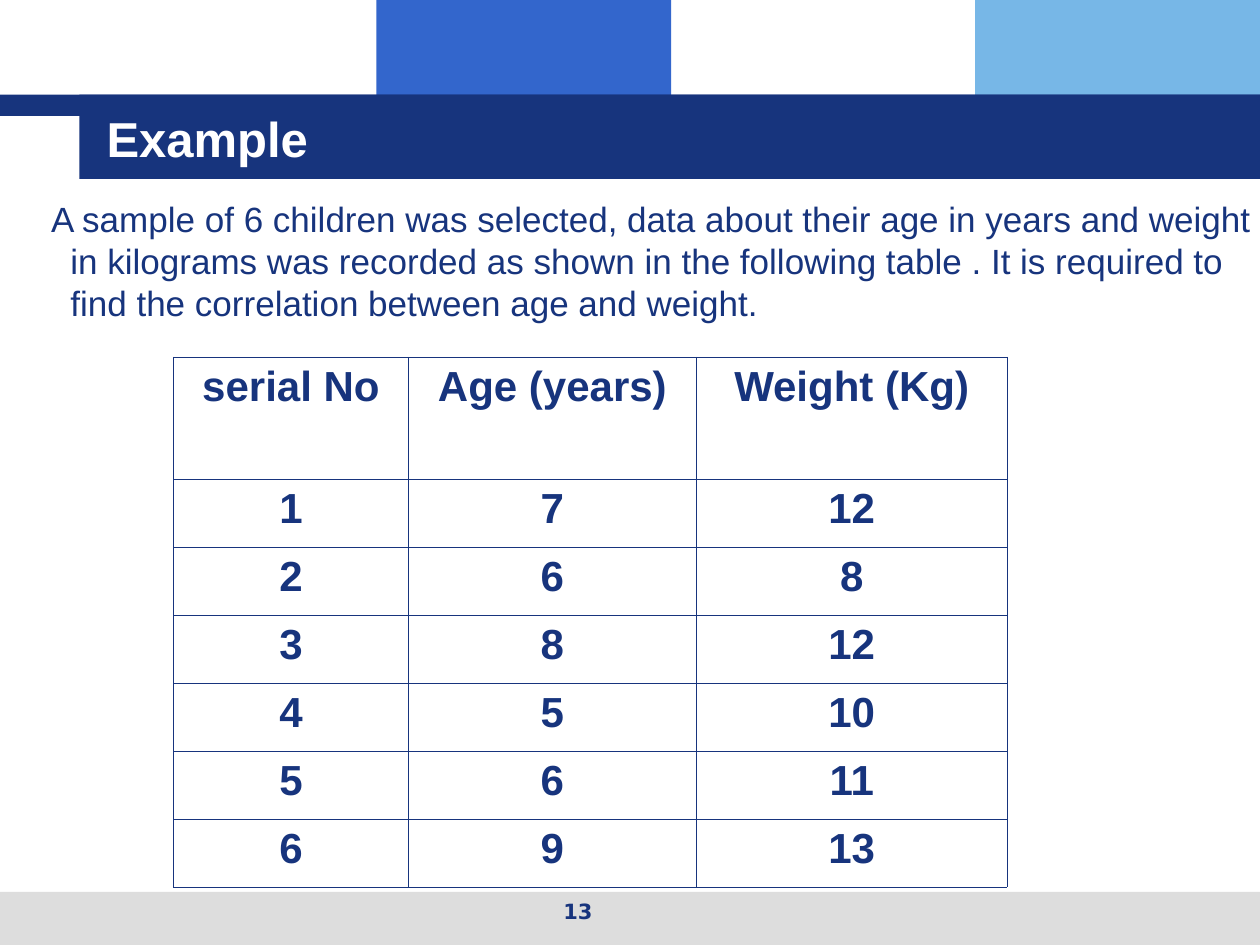
from dataclasses import dataclass

from lxml import etree
from pptx import Presentation
from pptx.dml.color import RGBColor
from pptx.enum.shapes import MSO_SHAPE
from pptx.enum.text import MSO_ANCHOR, PP_ALIGN
from pptx.oxml.ns import qn
from pptx.util import Cm, Pt

RECTANGLE = MSO_SHAPE.RECTANGLE
TOP, MIDDLE = MSO_ANCHOR.TOP, MSO_ANCHOR.MIDDLE
LEFT, CENTER = PP_ALIGN.LEFT, PP_ALIGN.CENTER


@dataclass(frozen=True)
class Theme:
    navy: str = "17347D"
    blue: str = "3366CC"
    sky: str = "77B7E7"
    grey: str = "DDDDDD"
    white: str = "FFFFFF"
    font: str = "Arial"
    number_font: str = "DejaVu Sans"
    title_size: int = 28
    table_size: int = 24
    body_size: int = 20
    number_size: int = 12
    border: float = 0.45


def set_values(target, values):
    for name, value in values.items():
        setattr(target, name, value)


class SlideBuilder:
    def __init__(self, slide, theme):
        self.slide = slide
        self.theme = theme

    def bar(self, left, top, width, height, color):
        shape = self.slide.shapes.add_shape(
            RECTANGLE, Cm(left), Cm(top), Cm(width), Cm(height))
        shape.shadow.inherit = False
        shape.fill.solid()
        shape.fill.fore_color.rgb = RGBColor.from_string(color)
        shape.line.fill.background()

    def add_span(self, para, text, size, color, font=None, bold=True, align=LEFT):
        para.alignment = align
        span = para.add_run()
        span.text = text
        set_values(span.font, {
            "name": font or self.theme.font, "size": Pt(size), "bold": bold})
        span.font.color.rgb = RGBColor.from_string(color)

    def text(self, left, top, width, height, text, size, color,
             anchor=TOP, **style):
        box = self.slide.shapes.add_textbox(
            Cm(left), Cm(top), Cm(width), Cm(height))
        set_values(box.text_frame, {"word_wrap": True, "vertical_anchor": anchor})
        para = box.text_frame.paragraphs[0]
        self.add_span(para, text, size, color, **style)
        return para

    def hang(self, para, margin, indent):
        properties = para._p.get_or_add_pPr()
        properties.set("marL", str(Cm(margin)))
        properties.set("indent", str(Cm(indent)))

    def outline(self, cell):
        properties = cell._tc.get_or_add_tcPr()
        for side in ("lnL", "lnR", "lnT", "lnB"):
            line = etree.SubElement(properties, qn(f"a:{side}"),
                                    w=str(Pt(self.theme.border)))
            fill = etree.SubElement(line, qn("a:solidFill"))
            etree.SubElement(fill, qn("a:srgbClr"), val=self.theme.navy)

    def table(self, left, top, widths, heights, rows):
        table = self.slide.shapes.add_table(
            len(rows), len(widths), Cm(left), Cm(top),
            Cm(sum(widths)), Cm(sum(heights))).table
        set_values(table, {"first_row": False, "horz_banding": False})
        for column, width in zip(table.columns, widths):
            column.width = Cm(width)
        for row, height, values in zip(table.rows, heights, rows):
            row.height = Cm(height)
            for cell, value in zip(row.cells, values):
                self.outline(cell)
                cell.fill.background()
                self.add_span(cell.text_frame.paragraphs[0], str(value),
                              self.theme.table_size, self.theme.navy, align=CENTER)


def main():
    theme = Theme()
    deck = Presentation()
    set_values(deck, {"slide_width": Cm(25.4), "slide_height": Cm(19.05)})
    page = SlideBuilder(deck.slides.add_slide(deck.slide_layouts[6]), theme)

    # Header blocks, footer band and title band
    page.bar(7.59, 0, 5.94, 2.34, theme.blue)
    page.bar(19.66, 0, 5.74, 2.34, theme.sky)
    page.bar(0, 17.98, 25.4, 1.07, theme.grey)
    page.bar(0, 1.91, 25.4, 0.43, theme.navy)
    page.bar(1.6, 1.91, 23.8, 1.7, theme.navy)

    # Title
    page.text(1.9, 2.41, 22.86, 0.76, "Example", theme.title_size, theme.white,
              anchor=MIDDLE)

    # Problem statement
    statement = page.text(
        0.2, 3.85, 25.4, 3.15,
        "A sample of 6 children was selected, data about their age in years "
        "and weight in kilograms was recorded as shown in the following table "
        ". It is required to find the correlation between age and weight.",
        theme.body_size, theme.navy, bold=False)
    statement.line_spacing = Pt(24)
    page.hang(statement, 0.97, -0.39)

    # Sample data
    children = [(7, 12), (6, 8), (8, 12), (5, 10), (6, 11), (9, 13)]
    rows = [("serial No", "Age (years)", "Weight (Kg)")]
    rows += [(serial, *child) for serial, child in enumerate(children, 1)]
    page.table(3.5, 7.2, [4.73, 5.81, 6.26],
               [2.46] + [1.37] * len(children), rows)

    # Page number
    page.text(8.69, 17.98, 5.92, 0.89, "13", theme.number_size, theme.navy,
              font=theme.number_font, align=CENTER)

    deck.save("out.pptx")


if __name__ == "__main__":
    main()
